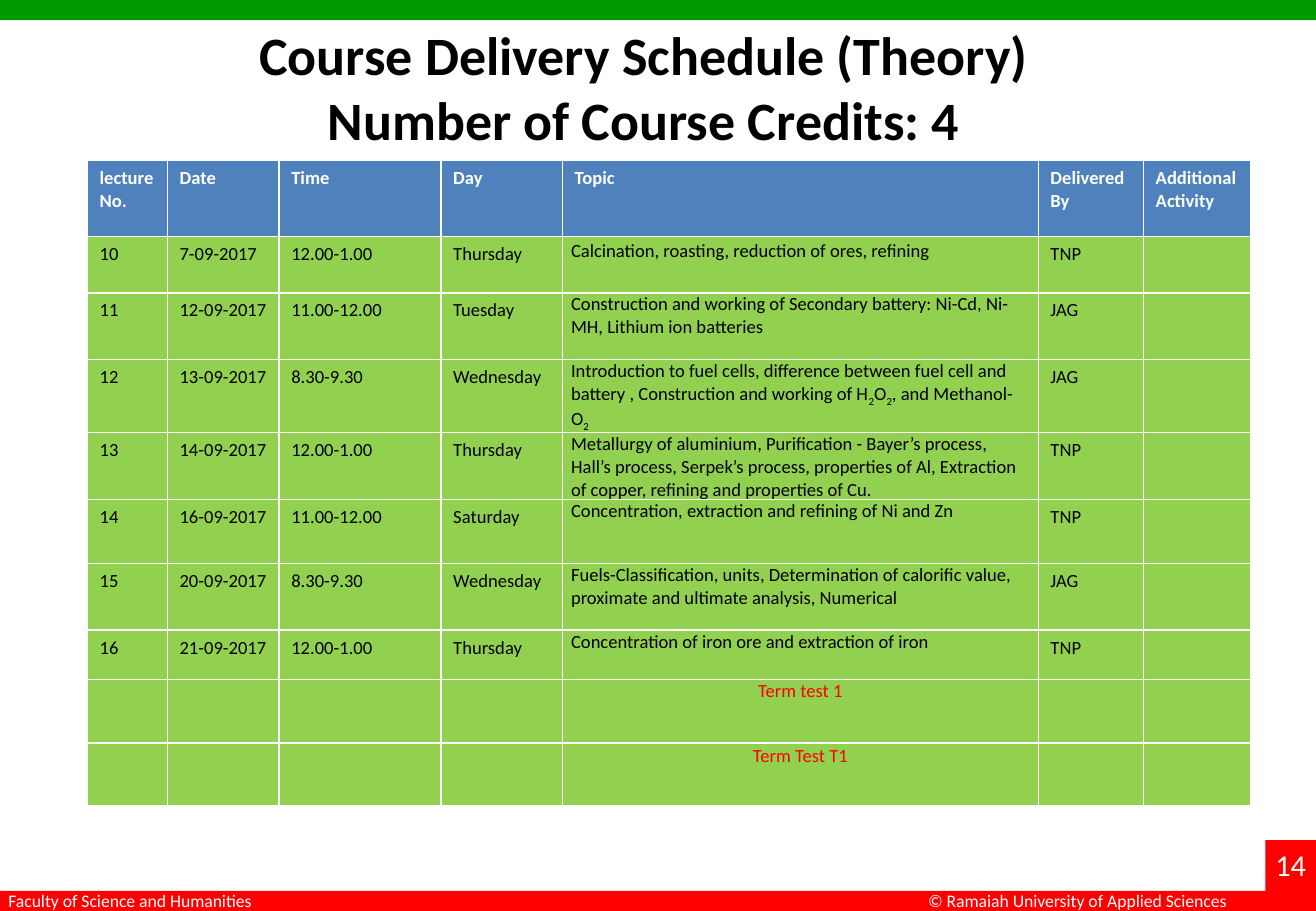
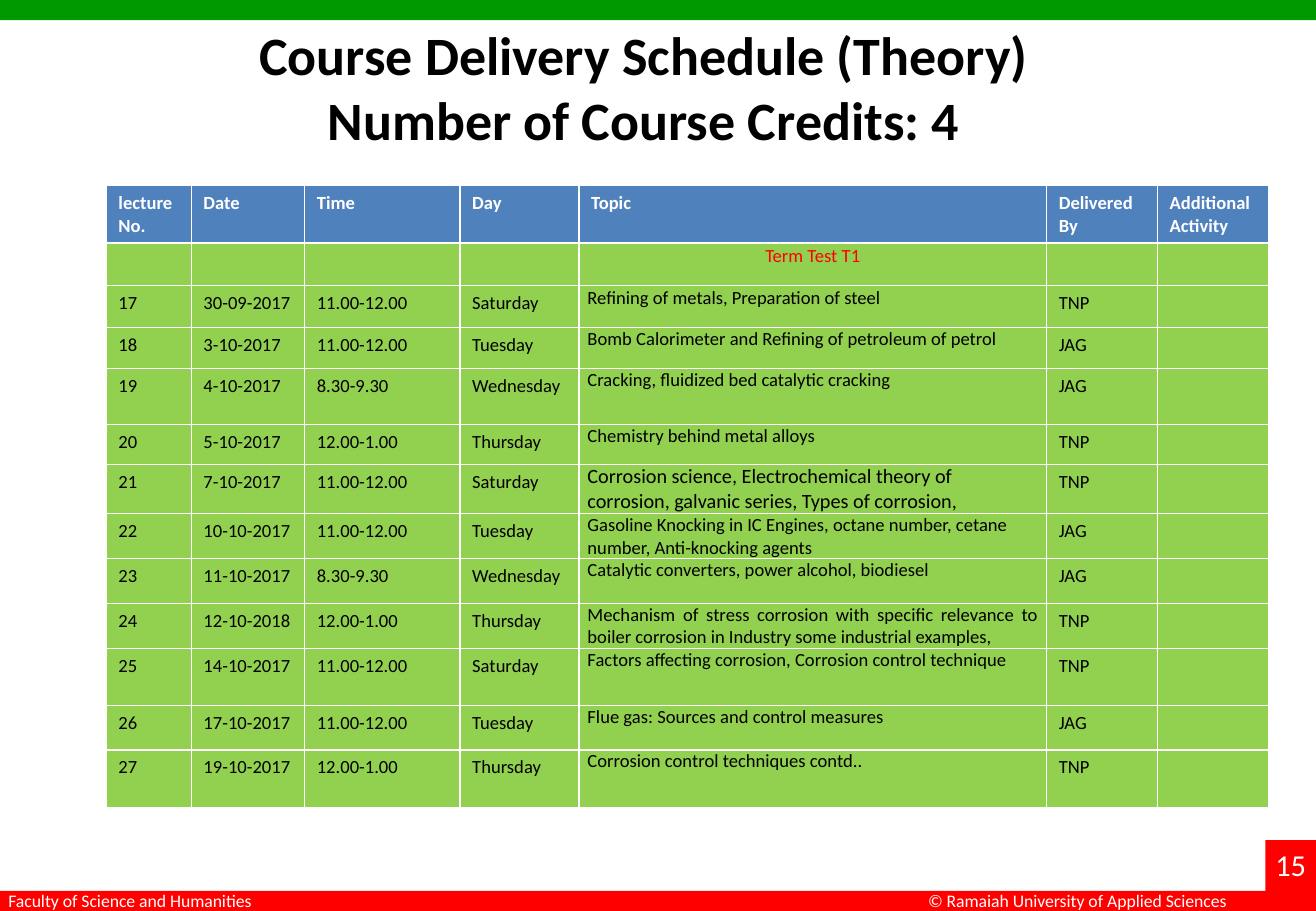
from dataclasses import dataclass

from pptx import Presentation
from pptx import util as u
from pptx.dml.color import RGBColor
from pptx.enum import shapes, text

COLORS = {
    "green_band": "009900",
    "red_band": "FF0000",
    "header": "4F81BD",
    "body": "92D050",
    "white": "FFFFFF",
    "black": "000000",
    "test": "FF0000",
}
FONT = "Calibri"

# The slide is a grid of 130 columns and 90 rows
COLS, ROWS = 130, 90
UNIT = u.Inches(1 / 12)
CENTER, JUSTIFY = text.PP_ALIGN.CENTER, text.PP_ALIGN.JUSTIFY

TITLE = ["Course Delivery Schedule (Theory)", "Number of Course Credits: 4"]
HEADINGS = ["lecture No.", "Date", "Time", "Day", "Topic", "Delivered By", "Additional Activity"]
TOPIC_COL = HEADINGS.index("Topic")


@dataclass
class Box:
    """A place on the grid."""
    col: float
    row: float
    cols: float
    rows: float

    def emu(self) -> list[int]:
        return [grid(n) for n in (self.col, self.row, self.cols, self.rows)]


@dataclass
class Lecture:
    """One table row; ~ in the topic switches subscript on and off."""
    rows: float
    number: str
    date: str
    time: str
    day: str
    topic: str
    by: str
    size: float = 11
    align: text.PP_ALIGN | None = None
    spacing: float | None = None
    color: str = "black"

    def cells(self) -> list[str]:
        return [self.number, self.date, self.time, self.day, self.topic, self.by, ""]


def term_test(rows: float, topic: str, spacing: float | None = None) -> Lecture:
    return Lecture(rows, "", "", "", "", topic, "", align=CENTER, spacing=spacing, color="test")


@dataclass
class Schedule:
    page: int
    col: float
    row: float
    widths: list[float]
    header_rows: float
    lectures: list[Lecture]


SCHEDULES = [
    Schedule(14, 8.64, 15.84, [7.9, 11.04, 16, 12, 47, 10.4, 10.6], 7.5, [
        Lecture(5.6, "10", "7-09-2017", "12.00-1.00", "Thursday",
                "Calcination, roasting, reduction of ores, refining", "TNP", spacing=1.15),
        Lecture(6.6, "11", "12-09-2017", "11.00-12.00", "Tuesday",
                "Construction and working of Secondary battery: Ni-Cd, Ni-MH, "
                "Lithium ion batteries", "JAG"),
        Lecture(7.2, "12", "13-09-2017", "8.30-9.30", "Wednesday",
                "Introduction to fuel cells, difference between fuel cell and battery , "
                "Construction and working of H~2~O~2~, and Methanol-O~2~", "JAG"),
        Lecture(6.6, "13", "14-09-2017", "12.00-1.00", "Thursday",
                "Metallurgy of aluminium, Purification - Bayer’s process, Hall’s process, "
                "Serpek’s process, properties of Al, Extraction of copper, refining and "
                "properties of Cu.", "TNP"),
        Lecture(6.3, "14", "16-09-2017", "11.00-12.00", "Saturday",
                "Concentration, extraction and refining of Ni and Zn", "TNP"),
        Lecture(6.6, "15", "20-09-2017", "8.30-9.30", "Wednesday",
                "Fuels-Classification, units, Determination of calorific value, proximate "
                "and ultimate analysis, Numerical", "JAG"),
        Lecture(4.85, "16", "21-09-2017", "12.00-1.00", "Thursday",
                "Concentration of iron ore and extraction of iron", "TNP"),
        term_test(6.3, "Term test 1"),
        term_test(6.15, "Term Test T1", 1.07),
    ]),
    Schedule(15, 10.5, 18.3, [8.4, 11.2, 15.35, 11.75, 46.2, 10.95, 10.95], 5.7, [
        term_test(4.2, "Term Test T1", 1.07),
        Lecture(4.15, "17", "30-09-2017", "11.00-12.00", "Saturday",
                "Refining of metals, Preparation of steel", "TNP", spacing=1.07),
        Lecture(4.05, "18", "3-10-2017", "11.00-12.00", "Tuesday",
                "Bomb Calorimeter and Refining of petroleum of petrol", "JAG"),
        Lecture(5.55, "19", "4-10-2017", "8.30-9.30", "Wednesday",
                "Cracking, fluidized bed catalytic cracking", "JAG"),
        Lecture(3.95, "20", "5-10-2017", "12.00-1.00", "Thursday",
                "Chemistry behind metal alloys", "TNP"),
        Lecture(4.85, "21", "7-10-2017", "11.00-12.00", "Saturday",
                "Corrosion science, Electrochemical theory of corrosion, galvanic series, "
                "Types of corrosion,", "TNP", size=12),
        Lecture(4.35, "22", "10-10-2017", "11.00-12.00", "Tuesday",
                "Gasoline Knocking in IC Engines, octane number, cetane number, "
                "Anti-knocking agents", "JAG"),
        Lecture(4.45, "23", "11-10-2017", "8.30-9.30", "Wednesday",
                "Catalytic converters, power alcohol, biodiesel", "JAG"),
        Lecture(4.45, "24", "12-10-2018", "12.00-1.00", "Thursday",
                "Mechanism of stress corrosion with specific relevance to boiler corrosion "
                "in Industry some industrial examples,", "TNP", align=JUSTIFY),
        Lecture(5.65, "25", "14-10-2017", "11.00-12.00", "Saturday",
                "Factors affecting corrosion, Corrosion control technique", "TNP"),
        Lecture(4.4, "26", "17-10-2017", "11.00-12.00", "Tuesday",
                "Flue gas: Sources and control measures", "JAG", align=JUSTIFY),
        Lecture(5.7, "27", "19-10-2017", "12.00-1.00", "Thursday",
                "Corrosion control techniques contd..", "TNP"),
    ]),
]


def grid(units: float) -> int:
    return round(units * UNIT)


def rgb(name: str) -> RGBColor:
    return RGBColor.from_string(COLORS[name])


def write(tf, *lines: str, size: float = 11, color: str = "black", bold: bool = False,
          align: text.PP_ALIGN | None = None, spacing: float | None = None) -> None:
    """Write one paragraph per line; ~ switches subscript on and off."""
    for i, line in enumerate(lines):
        p = tf.add_paragraph() if i else tf.paragraphs[0]
        p.alignment, p.line_spacing = align, spacing
        if not line:
            # Keeps an empty cell from growing to the default text size
            p._p.get_or_add_endParaRPr().set("sz", str(size * 100))
            continue
        for j, part in enumerate(line.split("~")):
            if not part:
                continue
            r = p.add_run()
            r.text = part
            r.font.name, r.font.size, r.font.bold = FONT, u.Pt(size), bold
            r.font.color.rgb = rgb(color)
            if j % 2:
                r.font._element.set("baseline", "-25000")


def add_band(s, box: Box, color: str) -> None:
    sp = s.shapes.add_shape(shapes.MSO_SHAPE.RECTANGLE, *box.emu())
    sp.shadow.inherit = False
    sp.fill.solid()
    sp.fill.fore_color.rgb = rgb(color)
    sp.line.fill.background()


def add_label(s, box: Box, line: str, size: float = 10.5) -> None:
    tf = s.shapes.add_textbox(*box.emu()).text_frame
    tf.word_wrap = True
    write(tf, line, size=size, color="white")


def add_frame(s, page: int) -> None:
    """Bands, footer and page number."""
    add_band(s, Box(0, 0, COLS, 2), "green_band")
    add_band(s, Box(0, ROWS - 2, COLS, 2), "red_band")
    add_band(s, Box(COLS - 5, ROWS - 7, 5, 7), "red_band")
    add_label(s, Box(90.5, 87.36, 32.4, 3.3), "© Ramaiah University of Applied Sciences")
    add_label(s, Box(-0.36, 87.36, 38.3, 3.3), "Faculty of Science and Humanities")
    add_label(s, Box(124.8, 83, 6, 4.8), str(page), size=18)


def add_title(s) -> None:
    title = s.shapes.title
    title.left, title.top, title.width, title.height = Box(19.7, 1.44, 87.8, 14.2).emu()
    write(title.text_frame, *TITLE, size=32, bold=True, align=CENTER)


def fill_cell(cell, line: str, fill: str, **style) -> None:
    cell.fill.solid()
    cell.fill.fore_color.rgb = rgb(fill)
    write(cell.text_frame, line, **style)


def add_schedule(s, plan: Schedule) -> None:
    heights = [plan.header_rows] + [lecture.rows for lecture in plan.lectures]
    box = Box(plan.col, plan.row, sum(plan.widths), sum(heights))
    table = s.shapes.add_table(len(heights), len(HEADINGS), *box.emu()).table
    table.horz_banding = False
    for column, width in zip(table.columns, plan.widths):
        column.width = grid(width)
    for row, height in zip(table.rows, heights):
        row.height = grid(height)

    # Header row
    for c, heading in enumerate(HEADINGS):
        fill_cell(table.cell(0, c), heading, "header", color="white", bold=True)

    # Lectures
    for n, lecture in enumerate(plan.lectures, start=1):
        for c, line in enumerate(lecture.cells()):
            cell, style = table.cell(n, c), {}
            if c == TOPIC_COL:
                cell.margin_left = cell.margin_right = u.Inches(0.07)
                cell.margin_top = cell.margin_bottom = 0
                style = dict(size=lecture.size, color=lecture.color,
                             align=lecture.align, spacing=lecture.spacing)
            fill_cell(cell, line, "body", **style)


def main() -> None:
    prs = Presentation()
    prs.slide_width, prs.slide_height = grid(COLS), grid(ROWS)
    title_only = prs.slide_layouts[5]
    for plan in SCHEDULES:
        s = prs.slides.add_slide(title_only)
        add_frame(s, plan.page)
        add_title(s)
        add_schedule(s, plan)
    prs.save("out.pptx")


if __name__ == "__main__":
    main()
